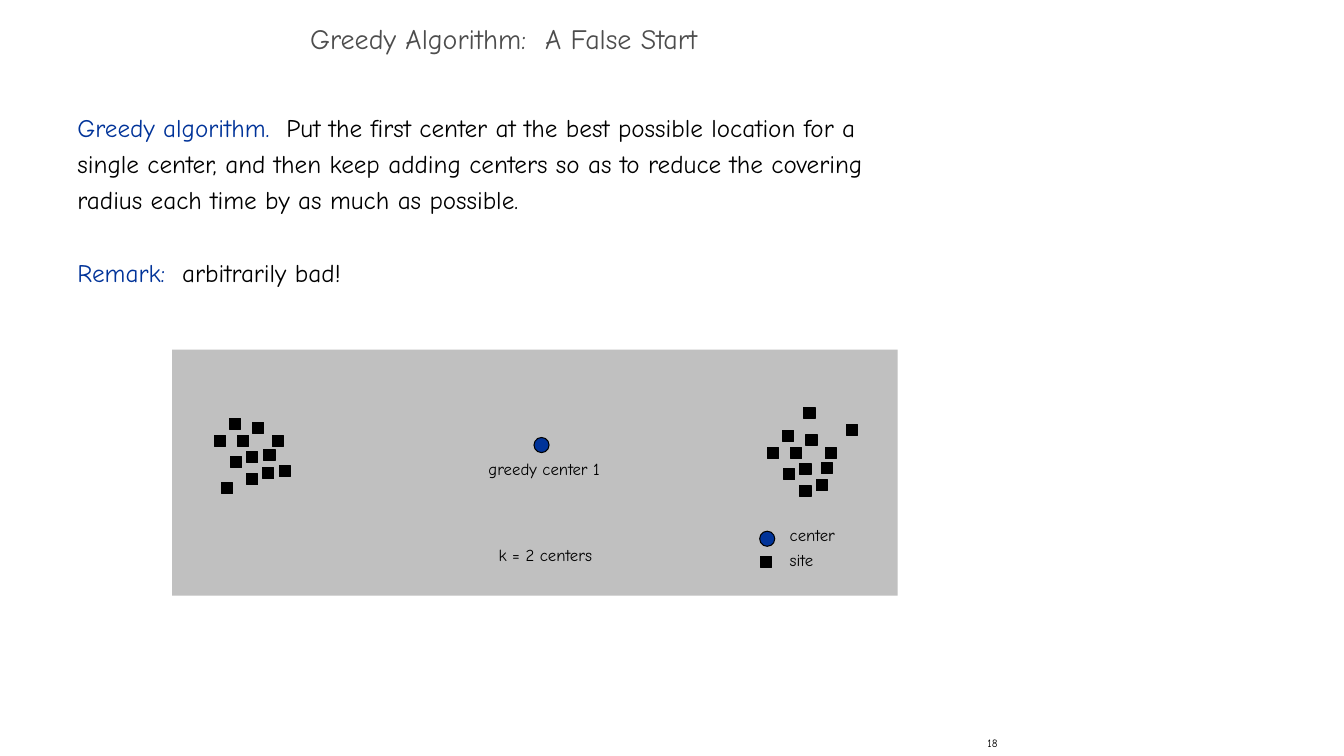
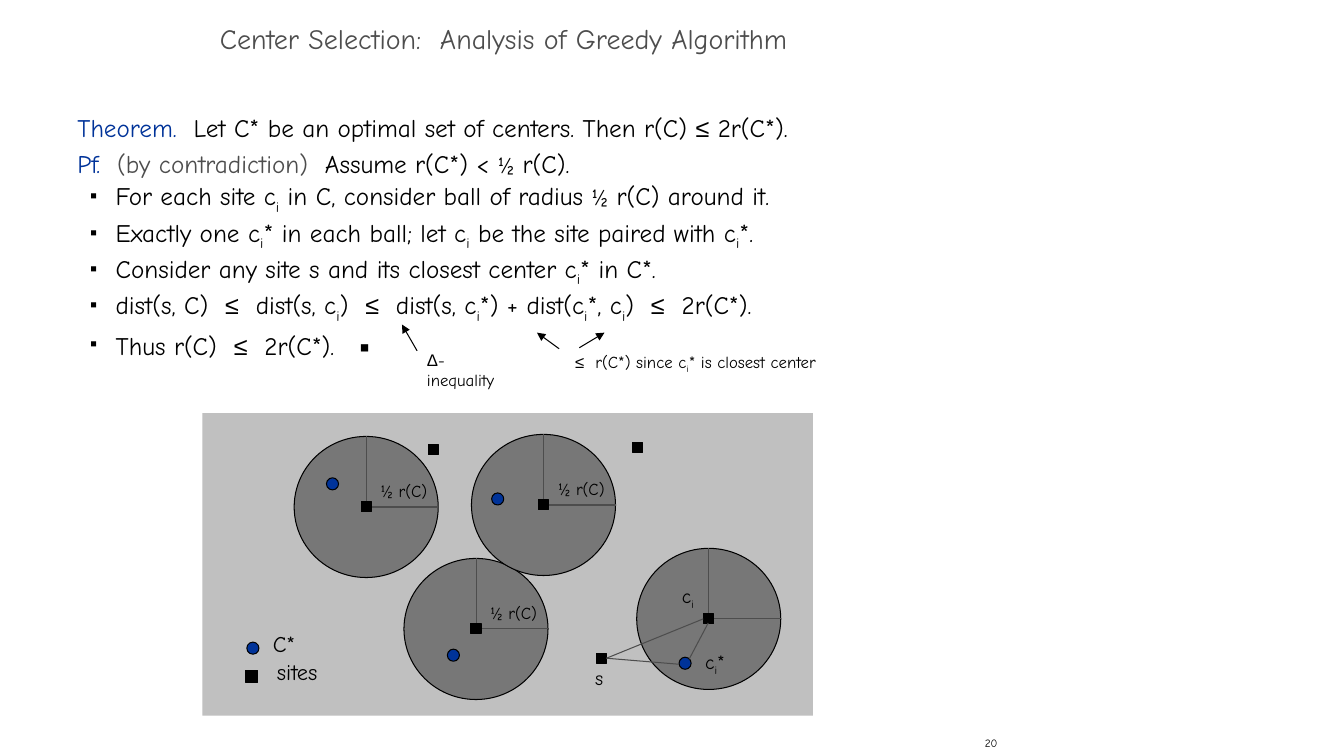
from itertools import groupby

from lxml import etree
from pptx import Presentation
from pptx.dml.color import RGBColor
from pptx.enum.shapes import MSO_CONNECTOR, MSO_SHAPE
from pptx.enum.text import MSO_ANCHOR, MSO_AUTO_SIZE, PP_ALIGN
from pptx.oxml.ns import qn
from pptx.util import Inches, Pt

RECT, OVAL = MSO_SHAPE.RECTANGLE, MSO_SHAPE.OVAL
STRAIGHT = MSO_CONNECTOR.STRAIGHT
MIDDLE = MSO_ANCHOR.MIDDLE
CENTER, RIGHT = PP_ALIGN.CENTER, PP_ALIGN.RIGHT
NO_FIT, GROW = MSO_AUTO_SIZE.NONE, MSO_AUTO_SIZE.SHAPE_TO_FIT_TEXT

COLORS = {
    "black": "000000",
    "blue": "003399",
    "gray": "4D4D4D",
    "panel": "C0C0C0",
    "ball": "777777",
}
FONT, SYMBOL_FONT = "Comic Neue", "Arial"
TITLE_FRAME = {"word_wrap": True, "auto_size": NO_FIT, "vertical_anchor": MIDDLE}
TITLE_PARAGRAPH = {"alignment": CENTER, "line_spacing": 0.7}
NUMBER_FRAME = {"word_wrap": True, "vertical_anchor": MIDDLE}
LABEL_FRAME = {"word_wrap": False, "auto_size": GROW}
BALL_W, BALL_H, SITE = 1.43, 1.4, 0.1


def color(name):
    return RGBColor.from_string(COLORS[name])


def set_all(obj, values):
    for name, value in values.items():
        setattr(obj, name, value)


# Text: underscores enclose subscripts, math symbols get their own font
def char_kind(ch):
    return "symbol" if ch in "≤Δ" else "half" if ch == "½" else "plain"


def add_text(p, text, size, color_name="black"):
    for i, part in enumerate(text.split("_")):
        for kind, chars in groupby(part, char_kind):
            r = p.add_run()
            r.text = "".join(chars)
            set_all(r.font, {
                "name": SYMBOL_FONT if kind == "symbol" else FONT,
                "size": Pt(min(size, 16) if kind == "half" else size),
                "bold": False,
            })
            r.font.color.rgb = color(color_name)
            if i % 2:
                r._r.get_or_add_rPr().set("baseline", "-25000")


def add_bullet(p):
    pPr = p._p.get_or_add_pPr()
    indents = {"marL": Inches(0.38), "indent": Inches(-0.25), "lvl": 1}
    for name, value in indents.items():
        pPr.set(name, str(value))
    clr = etree.SubElement(pPr, qn("a:buClr"))
    etree.SubElement(clr, qn("a:srgbClr")).set("val", COLORS["black"])
    etree.SubElement(pPr, qn("a:buSzPct")).set("val", "35000")
    etree.SubElement(pPr, qn("a:buChar")).set("char", "■")


def add_box(s, x, y, w, h, frame):
    tf = s.shapes.add_textbox(*map(Inches, (x, y, w, h))).text_frame
    set_all(tf, frame)
    return tf


def add_label(s, x, y, w, text, size=12, wrap=False):
    tf = add_box(s, x, y, w, 0.3, {**LABEL_FRAME, "word_wrap": wrap})
    add_text(tf.paragraphs[0], text, size)


# Shapes and lines
def add_shape(s, kind, x, y, w, h, fill, outlined=True):
    sp = s.shapes.add_shape(kind, *map(Inches, (x, y, w, h)))
    sp.shadow.inherit = False
    sp.fill.solid()
    sp.fill.fore_color.rgb = color(fill)
    if outlined:
        sp.line.color.rgb = color("black")
        sp.line.width = Pt(0.75)
    else:
        sp.line.fill.background()


def add_site(s, x, y, size=SITE):
    add_shape(s, RECT, x, y, size, size, "black")


def add_center(s, x, y, size=0.12):
    add_shape(s, OVAL, x, y, size, size, "blue")


def add_line(s, x1, y1, x2, y2, color_name="gray", arrow=False):
    line = s.shapes.add_connector(STRAIGHT, *map(Inches, (x1, y1, x2, y2)))
    line.line.color.rgb = color(color_name)
    line.line.width = Pt(0.75)
    if arrow:
        ln = line.line._get_or_add_ln()
        etree.SubElement(ln, qn("a:tailEnd")).set("type", "triangle")
    etree.SubElement(line._element.spPr, qn("a:effectLst"))


# Frame shared by the slides: title and slide number
def add_slide(prs, title, number):
    s = prs.slides.add_slide(prs.slide_layouts[5])
    box = dict(zip(("left", "top", "width", "height"),
                   map(Inches, (0, 0.17, 10, 0.5))))
    set_all(s.shapes.title, box)
    tf = s.shapes.title.text_frame
    set_all(tf, TITLE_FRAME)
    p = tf.paragraphs[0]
    set_all(p, TITLE_PARAGRAPH)
    add_text(p, title, 20, "gray")
    p = add_box(s, 7.92, 7.25, 2.08, 0.25, NUMBER_FRAME).paragraphs[0]
    p.alignment = RIGHT
    add_text(p, number, 8)
    return s


def add_body(s, width, paragraphs, bullets=(), gap=0):
    tf = add_box(s, 0.67, 1, width, 5.92, {"word_wrap": True})
    rows = [*paragraphs, *([(text, "black")] for text in bullets)]
    for i, row in enumerate(rows):
        p = tf.add_paragraph() if i else tf.paragraphs[0]
        if i >= len(paragraphs):
            add_bullet(p)
        p.line_spacing = Pt(26)
        if i and gap:
            p.space_before = Pt(gap)
        for text, color_name in row:
            add_text(p, text, 18, color_name)


# Slide 1: two far clusters with one center between them
CLUSTER = [(0.15, 0), (0.23, 0.17), (0.32, 0.33), (0.38, 0.04), (0.32, 0.55),
           (0, 0.17), (0.16, 0.38), (0.48, 0.49), (0.57, 0.17)]
LEFT_EXTRA = [(0.49, 0.31), (0.64, 0.47), (0.07, 0.64)]
RIGHT_EXTRA = [(0.36, -0.23), (0.53, 0.32), (0.78, -0.06)]


def add_cluster(s, x, y, extra):
    for dx, dy in CLUSTER + extra:
        add_site(s, x + dx, y + dy, 0.11)


def add_cluster_panel(s, x, y):
    add_shape(s, RECT, x, y, 7.2, 2.44, "panel", outlined=False)
    add_center(s, x + 3.59, y + 0.87, 0.15)
    add_label(s, x + 3.04, y + 1.03, 1.32, "greedy center 1")
    add_cluster(s, x + 0.42, y + 0.68, LEFT_EXTRA)
    add_cluster(s, x + 5.91, y + 0.8, RIGHT_EXTRA)
    add_label(s, x + 3.14, y + 1.89, 1.14, "k = 2 centers")
    # Legend
    add_center(s, x + 5.83, y + 1.8, 0.15)
    add_label(s, x + 6.03, y + 1.69, 0.66, "center")
    add_site(s, x + 5.84, y + 2.05, 0.11)
    add_label(s, x + 6.03, y + 1.93, 0.44, "site")


def build_false_start(prs):
    s = add_slide(prs, "Greedy Algorithm:  A False Start", "18")
    add_cluster_panel(s, 1.71, 3.47)
    add_body(s, 8.58, [
        [("Greedy algorithm.  ", "blue"),
         ("Put the first center at the best possible location for a single "
          "center, and then keep adding centers so as to reduce the covering "
          "radius each time by as much as possible.", "black")],
        [("Remark:  ", "blue"), ("arbitrarily bad!", "black")],
    ], gap=26)


# Slide 2: proof, notes on the inequality, and balls around the sites
BALLS = [  # ball corner, offset of its optimal center, has a radius label
    (0.91, 0.23, 0.32, 0.41, True),
    (2, 1.44, 0.43, 0.9, True),
    (2.67, 0.21, 0.2, 0.58, True),
    (4.31, 1.34, 0.42, 1.08, False),
]


def add_ball(s, x, y, center_dx, center_dy, labelled):
    cx, cy, half = x + BALL_W / 2, y + BALL_H / 2, SITE / 2
    add_shape(s, OVAL, x, y, BALL_W, BALL_H, "ball")
    add_line(s, cx + half, cy, x + BALL_W, cy)
    add_line(s, cx, cy - half, cx, y)
    add_site(s, cx - half, cy - half)
    add_center(s, x + center_dx, y + center_dy)
    if labelled:
        add_label(s, x + 0.76, y + 0.39, 0.75, "½ r(C)")


def add_ball_panel(s, x, y):
    add_shape(s, RECT, x, y, 6.06, 3, "panel", outlined=False)
    for dx, dy, *ball in BALLS:
        add_ball(s, x + dx, y + dy, *ball)
    # Uncovered sites and the triangle s, c_i, c_i*
    for dx, dy in [(3.91, 2.38), (4.27, 0.29), (2.24, 0.31)]:
        add_site(s, x + dx, y + dy)
    for x1, y1, x2, y2 in [(4.97, 2.04, 4.01, 2.43), (5.02, 2.08, 4.83, 2.44),
                           (4.01, 2.43, 4.73, 2.49)]:
        add_line(s, x + x1, y + y1, x + x2, y + y2)
    # Legend marks and labels
    add_center(s, x + 0.44, y + 2.27)
    add_site(s, x + 0.43, y + 2.55, 0.12)
    for dx, dy, w, text, size in [
        (0.6, 2.1, 0.43, "C*", 16), (0.64, 2.38, 0.61, "sites", 16),
        (4.66, 1.64, 0.32, "c_i_", 14), (4.89, 2.3, 0.4, "c_i_*", 14),
        (3.8, 2.46, 0.28, "s", 14),
    ]:
        add_label(s, x + dx, y + dy, w, text, size)


def add_inequality_notes(s, x, y):
    add_label(s, x + 0.14, y + 0.22, 1, "Δ-inequality", wrap=True)
    add_label(s, x + 1.61, y + 0.24, 2.64, "≤  r(C*) since c_i_* is closest center")
    for x1, y1, x2, y2 in [(0.14, 0.28, -0.01, 0.02), (1.55, 0.26, 1.33, 0.1),
                           (1.75, 0.25, 2, 0.1)]:
        add_line(s, x + x1, y + y1, x + x2, y + y2, "black", arrow=True)


def build_analysis(prs):
    s = add_slide(prs, "Center Selection:  Analysis of Greedy Algorithm", "20")
    add_body(s, 8.36, [
        [("Theorem.  ", "blue"),
         ("Let C* be an optimal set of centers. Then r(C) ≤ 2r(C*).", "black")],
        [("Pf.  ", "blue"), ("(by contradiction)", "gray"),
         ("  Assume r(C*) < ½ r(C).", "black")],
    ], bullets=[
        "For each site c_i_ in C, consider ball of radius ½ r(C) around it.",
        "Exactly one c_i_* in each ball; let c_i_ be the site paired with c_i_*.",
        "Consider any site s and its closest center c_i_* in C*.",
        "dist(s, C)  ≤  dist(s, c_i_)  ≤  dist(s, c_i_*) + dist(c_i_*, c_i_)  ≤  2r(C*).",
        "Thus r(C)  ≤  2r(C*).   ▪",
    ])
    add_ball_panel(s, 2.01, 4.1)
    add_inequality_notes(s, 4, 3.2)


def main():
    prs = Presentation()
    prs.slide_width, prs.slide_height = Inches(13.34), Inches(7.5)
    build_false_start(prs)
    build_analysis(prs)
    prs.save("out.pptx")


if __name__ == "__main__":
    main()
